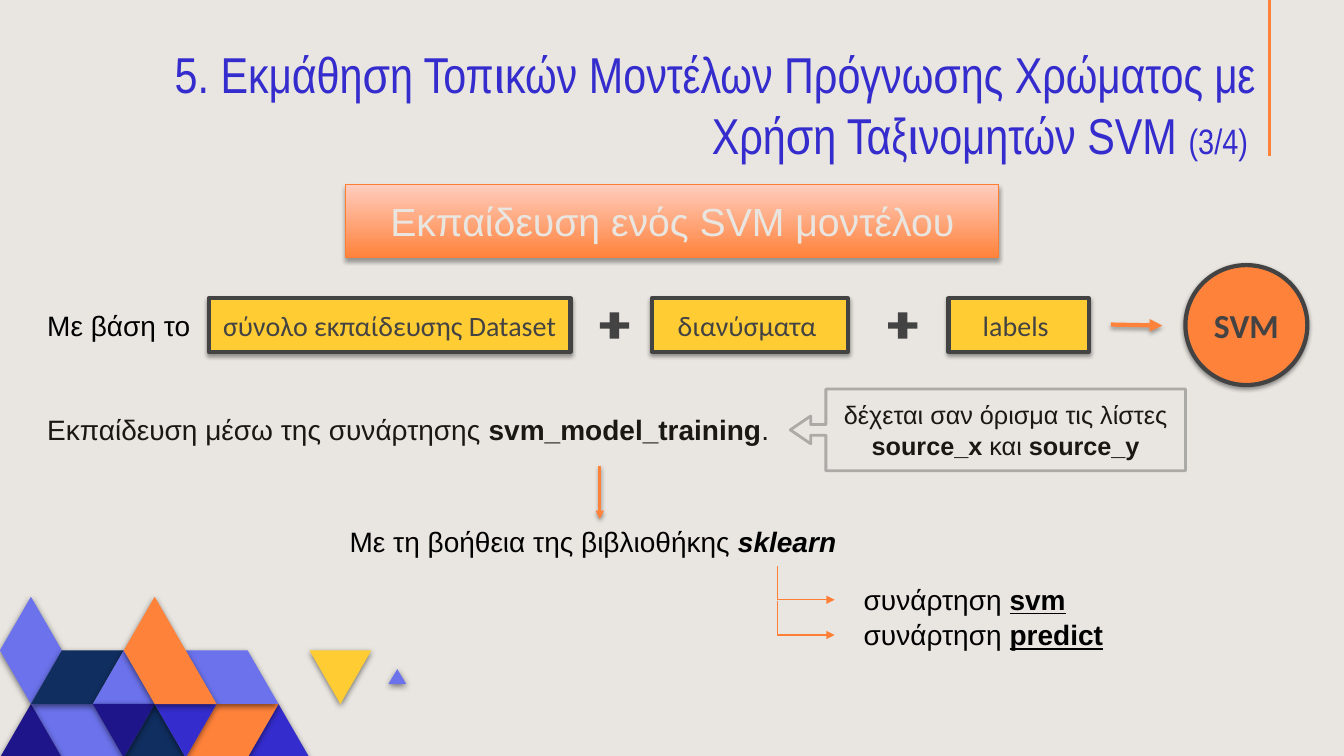
from lxml.etree import SubElement
from pptx import Presentation
from pptx.dml.color import RGBColor
from pptx.enum.shapes import MSO_CONNECTOR, MSO_SHAPE
from pptx.enum.text import MSO_ANCHOR, PP_ALIGN
from pptx.oxml.ns import qn
from pptx.util import Inches, Pt

# The slide grid: square cells, ten to the inch
CELL = Inches(0.1)
COLUMNS, ROWS = 133.33, 75

COLORS = {
    "paper": "E9E6E1", "ink": "1A1813", "black": "000000", "graphite": "434343",
    "gray": "ACAAA6", "orange": "FF823B", "edge": "FE7E35", "peach": "FFCDBF",
    "yellow": "FFCC33", "blue": "352CCD", "periwinkle": "6B72EB",
    "indigo": "1F158A", "navy": "102E5F",
}

# Shadows: opacity in percent, blur and distance in points
TILE_SHADOW, BANNER_SHADOW, BOX_SHADOW = (50, 4.5, 1.5), (35, 3.1, 1.8), (38, 3.1, 1.6)

ARIAL = {"name": "Arial", "size": Pt(20)}
CALIBRI = {"name": "Calibri", "size": Pt(20)}
BOLD = {"bold": True}
MARKED = {"bold": True, "underline": True}

# Mosaic of triangles: half a side across, one height down
TILE_COLUMN, TILE_ROW, MOSAIC_TOP = 3.07, 5.32, 59.2
TILES = [
    ("blue", [(10, 3), (9, 2), (8, 3)]),
    ("orange", [(9, 2), (7, 2), (6, 3), (8, 3)]),
    ("periwinkle", [(4, 3), (3, 2), (1, 2), (2, 3)]),
    ("indigo", [(2, 3), (1, 2), (0, 3)]),
    ("navy", [(6, 3), (5, 2), (4, 3)]),
    ("periwinkle", [(9, 2), (8, 1), (6, 1), (7, 2)]),
    ("periwinkle", [(13.13, 1.63), (12.84, 1.35), (12.55, 1.63)]),
    ("yellow", [(12, 1), (10, 1), (11, 2)]),
    ("periwinkle", [(2, 1), (1, 0), (0, 1), (1, 2)]),
    ("navy", [(4, 1), (2, 1), (1, 2), (3, 2)]),
    ("periwinkle", [(5, 2), (4, 1), (3, 2)]),
    ("indigo", [(5, 2), (3, 2), (4, 3)]),
    ("blue", [(7, 2), (5, 2), (6, 3)]),
    ("orange", [(7, 2), (5, 0), (4, 1), (5, 2)]),
]


def cells(*counts):
    return [round(count * CELL) for count in counts]


def rgb(color):
    return RGBColor.from_string(COLORS[color])


def apply(target, values):
    for attribute, value in values.items():
        setattr(target, attribute, value)


def add_shadow(part, shadow):
    properties = part._element.spPr
    for inherited in properties.findall(qn("a:effectLst")):
        properties.remove(inherited)
    effects = SubElement(properties, qn("a:effectLst"))
    if shadow:
        opacity, blur, distance = shadow
        outer = SubElement(effects, qn("a:outerShdw"), blurRad=str(Pt(blur)),
                           dist=str(Pt(distance)), dir="5400000", rotWithShape="0")
        black = SubElement(outer, qn("a:srgbClr"), val=COLORS["black"])
        SubElement(black, qn("a:alpha"), val=str(opacity * 1000))


def paint(part, fill, line=None, width=0, shadow=None):
    part.fill.solid()
    part.fill.fore_color.rgb = rgb(fill)
    if line:
        part.line.color.rgb = rgb(line)
        part.line.width = Pt(width)
    else:
        part.line.fill.background()
    add_shadow(part, shadow)


def write(part, runs, base, color, align=PP_ALIGN.LEFT, anchor=MSO_ANCHOR.TOP):
    frame = part.text_frame
    apply(frame, {"word_wrap": True, "vertical_anchor": anchor})
    paragraph = frame.paragraphs[0]
    paragraph.alignment = align
    for text, changes in runs:
        run = paragraph.add_run()
        run.text = text
        apply(run.font, {**base, **changes})
        run.font.color.rgb = rgb(color)


def add_label(slide, place, runs, color="black", base=ARIAL, **layout):
    label = slide.shapes.add_textbox(*cells(*place))
    write(label, runs, base, color, **layout)
    return label


def add_block(slide, kind, place, fill, line=None, width=0, shadow=None, adjust=()):
    block = slide.shapes.add_shape(kind, *cells(*place))
    for index, value in enumerate(adjust):
        block.adjustments[index] = value
    paint(block, fill, line, width, shadow)
    return block


def write_centred(block, runs, base, color):
    write(block, runs, base, color, PP_ALIGN.CENTER, MSO_ANCHOR.MIDDLE)


def add_line(slide, ends, color, width, arrow=True, shadow=None, bend=None):
    kind = MSO_CONNECTOR.STRAIGHT if bend is None else MSO_CONNECTOR.ELBOW
    line = slide.shapes.add_connector(kind, *cells(*ends))
    line.line.color.rgb = rgb(color)
    line.line.width = Pt(width)
    if arrow:
        SubElement(line.line._get_or_add_ln(), qn("a:tailEnd"), type="triangle")
    if bend is not None:
        guides = line._element.spPr.find(qn("a:prstGeom")).get_or_add_avLst()
        SubElement(guides, qn("a:gd"), name="adj1", fmla=f"val {bend}")
    add_shadow(line, shadow)


def add_tile(slide, color, corners):
    points = [cells(column * TILE_COLUMN, MOSAIC_TOP + row * TILE_ROW)
              for column, row in corners]
    outline = slide.shapes.build_freeform(*points[0])
    outline.add_line_segments(points[1:], close=True)
    paint(outline.convert_to_shape(), color, shadow=TILE_SHADOW)


def add_heading(slide):
    add_line(slide, (125.9, 0, 125.9, 15.5), "orange", 2.25, arrow=False)
    title = add_label(
        slide, (7.6, 4, 118, 13.3),
        [("5. Εκμάθηση Τοπικών Μοντέλων Πρόγνωσης Χρώματος με Χρήση Ταξινομητών SVM ", {}),
         ("(3/4) ", {"size": Pt(25.2)})],
        "blue", {"name": "Arial Narrow", "size": Pt(36)},
        align=PP_ALIGN.RIGHT, anchor=MSO_ANCHOR.BOTTOM)
    title.text_frame.margin_bottom = CELL

    banner = add_block(slide, MSO_SHAPE.RECTANGLE, (34.3, 18.3, 64.8, 7.3),
                       "orange", "edge", 0.75, BANNER_SHADOW)
    banner.fill.gradient()
    banner.fill.gradient_angle = 90
    for stop, color in zip(banner.fill.gradient_stops, ("orange", "peach")):
        stop.color.rgb = rgb(color)
    write_centred(banner, [("Εκπαίδευση ενός SVM μοντέλου", {})],
                  {"name": "Arial", "size": Pt(28)}, "paper")


def add_formula(slide):
    add_label(slide, (3.7, 30.1, 17.7, 4.4), [("Με βάση το", {})])
    space = (" ", {"size": Pt(18)})
    for left, width, runs in [
        (20.7, 35.9, [("σύνολο εκπαίδευσης Dataset", {})]),
        (64.7, 19.4, [("διανύσματα", {}), space]),
        (94.1, 13.9, [("labels", {}), space]),
    ]:
        term = add_block(slide, MSO_SHAPE.RECTANGLE, (left, 29.6, width, 5.3),
                         "yellow", "graphite", 3, BOX_SHADOW)
        write_centred(term, runs, CALIBRI, "graphite")
    for left in (59.5, 88.1):
        add_block(slide, MSO_SHAPE.CROSS, (left, 31, 2.9, 2.6), "graphite", adjust=[0.38])
    add_line(slide, (110.2, 32.2, 115.3, 32.3), "orange", 3, shadow=BANNER_SHADOW)
    svm = add_block(slide, MSO_SHAPE.OVAL, (117.6, 26.3, 12.1, 11.9),
                    "orange", "graphite", 3, BOX_SHADOW)
    write_centred(svm, [("SVM", BOLD)], {**CALIBRI, "size": Pt(24)}, "graphite")


def add_training(slide):
    add_label(slide, (3.7, 40.4, 74.6, 4.4),
              [("Εκπαίδευση μέσω της συνάρτησης ", {}), ("svm_model_training", BOLD),
               (".", {})], "ink")
    arguments = add_block(slide, MSO_SHAPE.LEFT_ARROW_CALLOUT, (78.4, 38.6, 39.2, 8.1),
                          "paper", "gray", 2, adjust=[0.13, 0.17, 0.25, 0.91])
    write_centred(arguments,
                  [("δέχεται σαν όρισμα τις λίστες ", {}), ("source_x", BOLD),
                   (" και ", {}), ("source_y", BOLD)], {**ARIAL, "size": Pt(18)}, "ink")
    add_line(slide, (59.5, 46.2, 59.5, 51.5), "orange", 2, shadow=BOX_SHADOW)
    add_label(slide, (33.7, 51.5, 54.4, 4.4),
              [("Mε τη βοήθεια της βιβλιοθήκης ", {}),
               ("sklearn", {"bold": True, "italic": True})])

    # Functions of the library, one per branch
    for index, function in enumerate(("svm", "predict")):
        top = 56.2 + 3.5 * index
        add_line(slide, (77.1, top, 82.8, top + 3.3), "edge", 0.75, bend=900)
        add_label(slide, (84.7, top + 1.1, 26.7, 4.4),
                  [("συνάρτηση ", {}), (function, MARKED), (" ", {})])


def main():
    deck = Presentation()
    deck.slide_width, deck.slide_height = cells(COLUMNS, ROWS)
    slide = deck.slides.add_slide(deck.slide_layouts[6])
    slide.background.fill.solid()
    slide.background.fill.fore_color.rgb = rgb("paper")
    for color, corners in TILES:
        add_tile(slide, color, corners)
    add_heading(slide)
    add_formula(slide)
    add_training(slide)
    deck.save("out.pptx")


if __name__ == "__main__":
    main()
